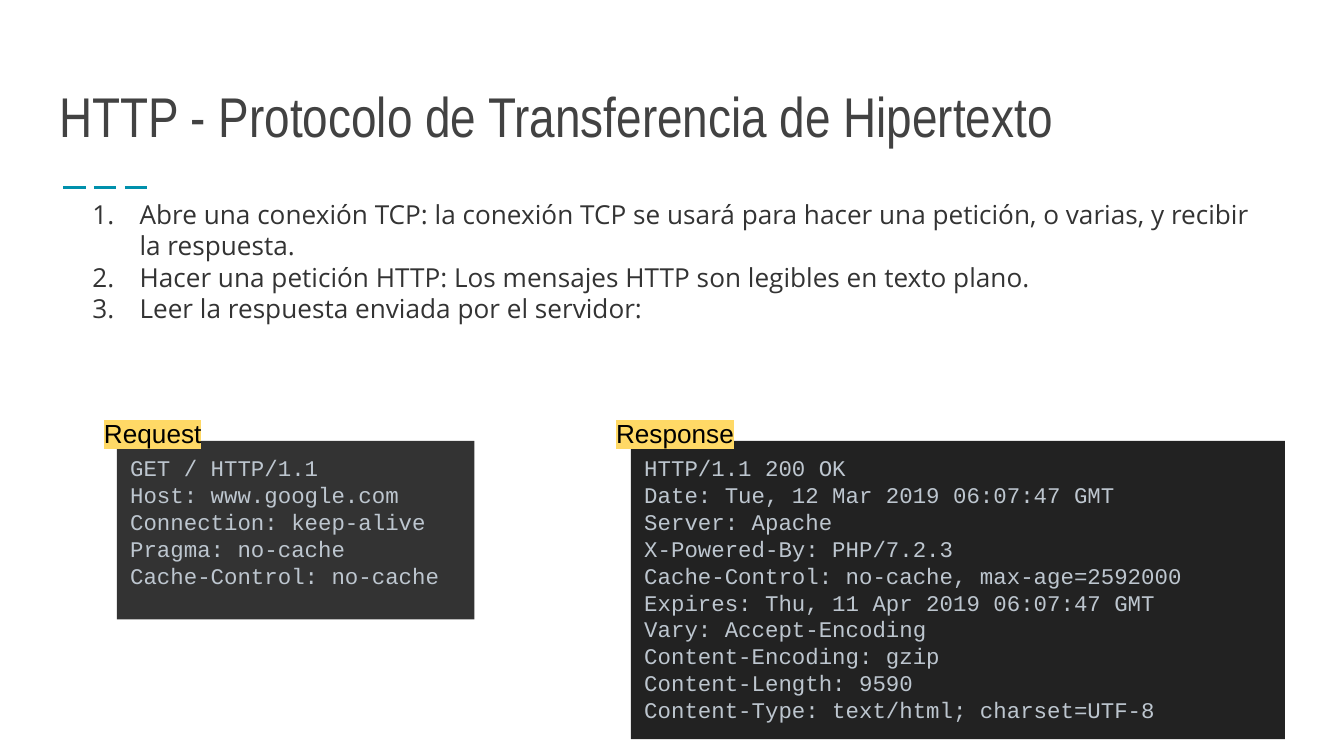
from lxml import etree
from pptx import Presentation
from pptx.dml.color import RGBColor
from pptx.enum.dml import MSO_LINE
from pptx.enum.shapes import MSO_CONNECTOR, MSO_SHAPE
from pptx.enum.text import MSO_ANCHOR, MSO_AUTO_SIZE, PP_ALIGN
from pptx.oxml.ns import qn
from pptx.util import Pt

PX = 4572  # 200 px to the inch
STRAIGHT = MSO_CONNECTOR.STRAIGHT
RECTANGLE = MSO_SHAPE.RECTANGLE
LONG_DASH = MSO_LINE.LONG_DASH
TOP, BOTTOM = MSO_ANCHOR.TOP, MSO_ANCHOR.BOTTOM
LEFT = PP_ALIGN.LEFT
NO_AUTOFIT = MSO_AUTO_SIZE.NONE


def color(value):
    return RGBColor.from_string(value)


def write_text(shape, text, font, size, ink, anchor=TOP, numbered=False, highlight=None):
    """Write each line of text as one paragraph of the shape."""
    frame = shape.text_frame
    frame.word_wrap = True
    frame.auto_size = NO_AUTOFIT
    frame.vertical_anchor = anchor
    frame.margin_left = frame.margin_right = 20 * PX
    frame.margin_top = frame.margin_bottom = 20 * PX
    for index, line in enumerate(text.splitlines()):
        paragraph = frame.paragraphs[0] if index == 0 else frame.add_paragraph()
        paragraph.alignment = LEFT
        paragraph.line_spacing = Pt(size * 1.2)
        if numbered:
            properties = paragraph._p.get_or_add_pPr()
            properties.set("marL", str(100 * PX))
            properties.set("indent", str(-70 * PX))
            bullet_color = etree.SubElement(properties, qn("a:buClr"))
            etree.SubElement(bullet_color, qn("a:srgbClr"), val=ink)
            etree.SubElement(properties, qn("a:buAutoNum"), type="arabicPeriod")
        run = paragraph.add_run()
        run.text = line
        run.font.size = Pt(size)
        run.font.color.rgb = color(ink)
        if highlight:
            marker = etree.SubElement(run.font._element, qn("a:highlight"))
            etree.SubElement(marker, qn("a:srgbClr"), val=highlight)
        run.font.name = font


presentation = Presentation()
presentation.slide_width = 2000 * PX
presentation.slide_height = 1125 * PX
slide = presentation.slides.add_slide(presentation.slide_layouts[5])
shapes = slide.shapes

# Title and dashed accent
title = shapes.title
title.left, title.top, title.width, title.height = 68 * PX, 82 * PX, 1864 * PX, 160 * PX
write_text(title, "HTTP - Protocolo de Transferencia de Hipertexto",
           font="Arial Narrow", size=30, ink="424242", anchor=BOTTOM)

accent = shapes.add_connector(STRAIGHT, 94 * PX, 279 * PX, 228 * PX, 279 * PX)
accent.line.color.rgb = color("0090AC")
accent.line.width = Pt(1.5)
accent.line.dash_style = LONG_DASH
etree.SubElement(accent._element.spPr, qn("a:effectLst"))

# Numbered steps
STEPS = """Abre una conexión TCP: la conexión TCP se usará para hacer una petición, o varias, y recibir la respuesta.
Hacer una petición HTTP: Los mensajes HTTP son legibles en texto plano.
Leer la respuesta enviada por el servidor:"""
steps = shapes.add_textbox(88 * PX, 275 * PX, 1800 * PX, 286 * PX)
write_text(steps, STEPS, font="Open Sans", size=14, ink="333333", numbered=True)

# Request and response messages with their labels
REQUEST = """GET / HTTP/1.1
Host: www.google.com
Connection: keep-alive
Pragma: no-cache
Cache-Control: no-cache"""
RESPONSE = """HTTP/1.1 200 OK
Date: Tue, 12 Mar 2019 06:07:47 GMT
Server: Apache
X-Powered-By: PHP/7.2.3
Cache-Control: no-cache, max-age=2592000
Expires: Thu, 11 Apr 2019 06:07:47 GMT
Vary: Accept-Encoding
Content-Encoding: gzip
Content-Length: 9590
Content-Type: text/html; charset=UTF-8"""
MESSAGES = [
    # label, label left, code, code left, width, height, fill
    ("Request", 135, REQUEST, 174, 532, 266, "333333"),
    ("Response", 897, RESPONSE, 939, 973, 444, "222222"),
]
for name, label_left, code, code_left, width, height, fill in MESSAGES:
    panel = shapes.add_shape(RECTANGLE, code_left * PX, 656 * PX, width * PX, height * PX)
    panel.shadow.inherit = False
    panel.fill.solid()
    panel.fill.fore_color.rgb = color(fill)
    panel.line.fill.background()
    write_text(panel, code, font="Courier New", size=12, ink="BDC6CF")

    label = shapes.add_textbox(label_left * PX, 601 * PX, 250 * PX, 108 * PX)
    write_text(label, name, font="Arial", size=14, ink="000000", highlight="FFD966")

presentation.save("out.pptx")
